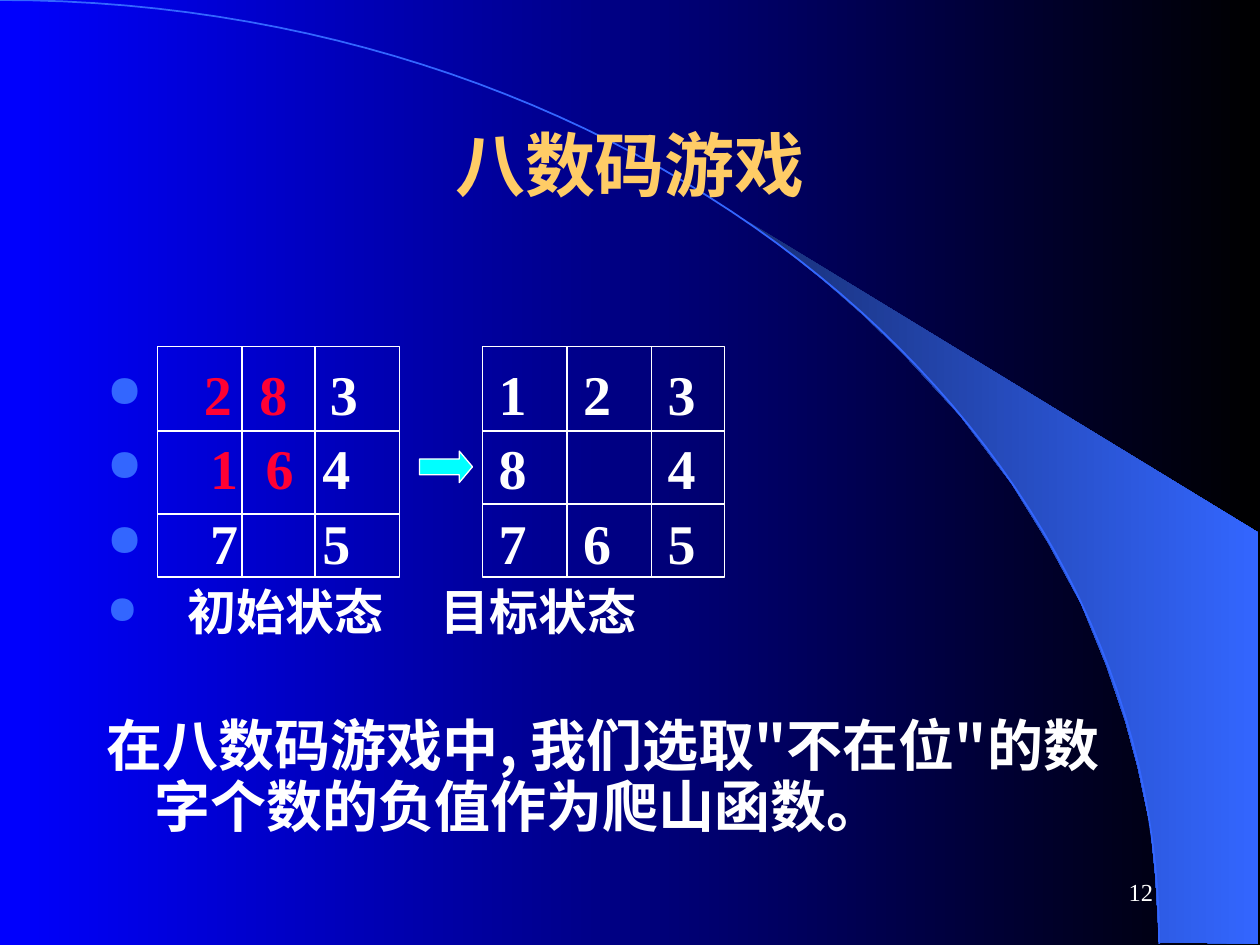
from lxml import etree
from pptx import Presentation
from pptx.dml.color import RGBColor
from pptx.enum.shapes import MSO_CONNECTOR, MSO_SHAPE
from pptx.enum.text import MSO_ANCHOR, PP_ALIGN
from pptx.oxml.ns import qn
from pptx.util import Inches, Pt

WHITE = RGBColor(0xFF, 0xFF, 0xFF)
BLACK = RGBColor(0, 0, 0)
BLUE = RGBColor(0, 0, 0xFF)
NAVY = RGBColor(0x18, 0x2F, 0x76)
SKY = RGBColor(0x33, 0x66, 0xFF)
GOLD = RGBColor(0xFF, 0xCC, 0x66)
RED = RGBColor(0xFF, 0x00, 0x33)
CYAN = RGBColor(0, 0xFF, 0xFF)
SERIF = "Times New Roman"
HAN = "Noto Sans CJK SC"


def add_run(p, text, size, font, color, bold=True):
    r = p.add_run()
    r.text = text
    r.font.size = Pt(size)
    r.font.name = font
    r.font.bold = bold
    r.font.color.rgb = color
    etree.SubElement(r.font._element, qn("a:ea"), typeface=font)


def set_gradient(fill, start, end):
    fill.gradient()
    fill.gradient_angle = 0
    for stop, color in zip(fill.gradient_stops, (start, end)):
        stop.color.rgb = color


prs = Presentation()
prs.slide_width, prs.slide_height = Inches(10), Inches(7.5)
s = prs.slides.add_slide(prs.slide_layouts[5])
set_gradient(s.background.fill, BLUE, BLACK)

wedge = [(9.2, 7.48), (9.99, 7.49), (9.99, 4.23), (5.89, 1.73), (6.24, 1.99),
         (6.53, 2.22), (6.85, 2.5), (7.16, 2.8), (7.62, 3.3), (8.03, 3.84),
         (8.32, 4.31), (8.58, 4.79), (8.78, 5.28), (8.93, 5.72), (9.03, 6.09),
         (9.13, 6.56), (9.17, 6.96)]
arc = []
for i in range(61):
    t = i / 60
    u = 1 - t
    arc.append((3 * u * u * t * 5.08 + (3 * u * t * t + t ** 3) * 9.2,
                3 * u * t * t * 3.35 + t ** 3 * 7.49))
outlines = []
for points, closed in ((wedge, True), (arc, False)):
    points = [(Inches(x), Inches(y)) for x, y in points]
    builder = s.shapes.build_freeform(*points[0])
    builder.add_line_segments(points[1:], close=closed)
    sp = builder.convert_to_shape()
    sp.shadow.inherit = False
    outlines.append(sp)
set_gradient(outlines[0].fill, NAVY, SKY)
outlines[0].line.fill.background()
outlines[1].fill.background()
outlines[1].line.color.rgb = SKY
outlines[1].line.width = Pt(1)

title = s.shapes.title
s.shapes.element.append(title.element)
title.left, title.top = Inches(0.75), Inches(0.67)
title.width, title.height = Inches(8.5), Inches(1.25)
tf = title.text_frame
tf.vertical_anchor = MSO_ANCHOR.MIDDLE
tf.paragraphs[0].alignment = PP_ALIGN.CENTER
add_run(tf.paragraphs[0], "八数码游戏", 40, HAN, GOLD)

sp = s.shapes.add_textbox(Inches(7.17), Inches(6.83), Inches(2.08), Inches(0.5))
tf = sp.text_frame
tf.word_wrap = True
tf.vertical_anchor = MSO_ANCHOR.MIDDLE
tf.paragraphs[0].alignment = PP_ALIGN.RIGHT
add_run(tf.paragraphs[0], "12", 14, SERIF, WHITE, False)

digit_tabs = [0.82, 1.26, 1.71, 3.11, 3.78, 4.45]
rows = [
    ([0.77, 1.21, 1.77] + digit_tabs[3:], 32, SERIF, 0,
     [("\t2\t8", RED), ("\t3\t1\t2\t3", WHITE)]),
    (digit_tabs, 32, SERIF, 8, [("\t1\t6", RED), ("\t4\t8\t\t4", WHITE)]),
    (digit_tabs, 32, SERIF, 8, [("\t7\t\t5\t7\t6\t5", WHITE)]),
    ([0.64, 2.65], 28, HAN, 7, [("\t初始状态\t目标状态", WHITE)]),
    ([], 32, HAN, 44,
     [("在八数码游戏中, 我们选取\"不在位\"的数字个数的负值作为爬山函数。", WHITE)]),
]
sp = s.shapes.add_textbox(Inches(0.75), Inches(2.25), Inches(8.5), Inches(4.67))
tf = sp.text_frame
tf.word_wrap = True
tf.margin_top = Inches(0.66)
for i, (tabs, size, font, before, runs) in enumerate(rows):
    p = tf.paragraphs[0] if i == 0 else tf.add_paragraph()
    p.line_spacing = 0.9
    p.space_before = Pt(before)
    pPr = p._p.get_or_add_pPr()
    pPr.set("marL", str(Inches(0.38)))
    pPr.set("indent", str(-Inches(0.38)))
    if tabs:
        color = etree.SubElement(pPr, qn("a:buClr"))
        etree.SubElement(color, qn("a:srgbClr"), val=str(SKY))
        etree.SubElement(pPr, qn("a:buSzPct"), val="80000")
        etree.SubElement(pPr, qn("a:buChar"), char="●")
        tab_list = etree.SubElement(pPr, qn("a:tabLst"))
        for pos in tabs:
            etree.SubElement(tab_list, qn("a:tab"), pos=str(Inches(pos)), algn="l")
    for text, color in runs:
        add_run(p, text, size, font, color)

top, width, height = 2.75, 1.92, 1.83
boards = [(1.25, (3.42, 4.08), (1.92, 2.5)), (3.83, (3.42, 4), (4.5, 5.17))]
for left, ys, xs in boards:
    sp = s.shapes.add_shape(MSO_SHAPE.RECTANGLE, Inches(left), Inches(top),
                            Inches(width), Inches(height))
    sp.shadow.inherit = False
    sp.fill.background()
    sp.line.color.rgb = WHITE
    sp.line.width = Pt(0.75)
    segments = [(left, y, left + width, y) for y in ys]
    segments += [(x, top, x, top + height) for x in xs]
    for ends in segments:
        line = s.shapes.add_connector(MSO_CONNECTOR.STRAIGHT, *map(Inches, ends))
        line.line.color.rgb = WHITE
        line.line.width = Pt(0.75)
        etree.SubElement(line._element.spPr, qn("a:effectLst"))

arrow = s.shapes.add_shape(MSO_SHAPE.RIGHT_ARROW, Inches(3.33), Inches(3.58),
                           Inches(0.42), Inches(0.25))
arrow.adjustments[0], arrow.adjustments[1] = 0.5, 0.42
arrow.shadow.inherit = False
arrow.fill.solid()
arrow.fill.fore_color.rgb = CYAN
arrow.line.color.rgb = WHITE
arrow.line.width = Pt(0.75)

prs.save("out.pptx")
